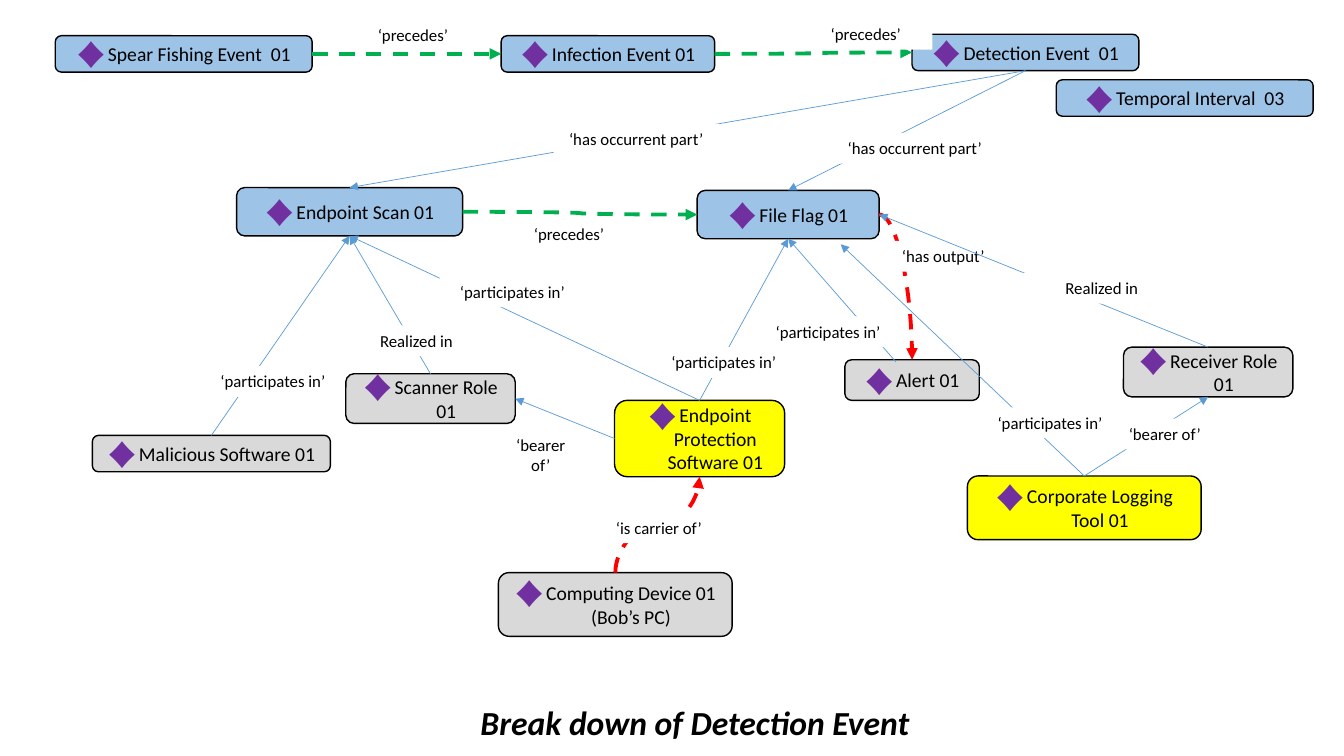
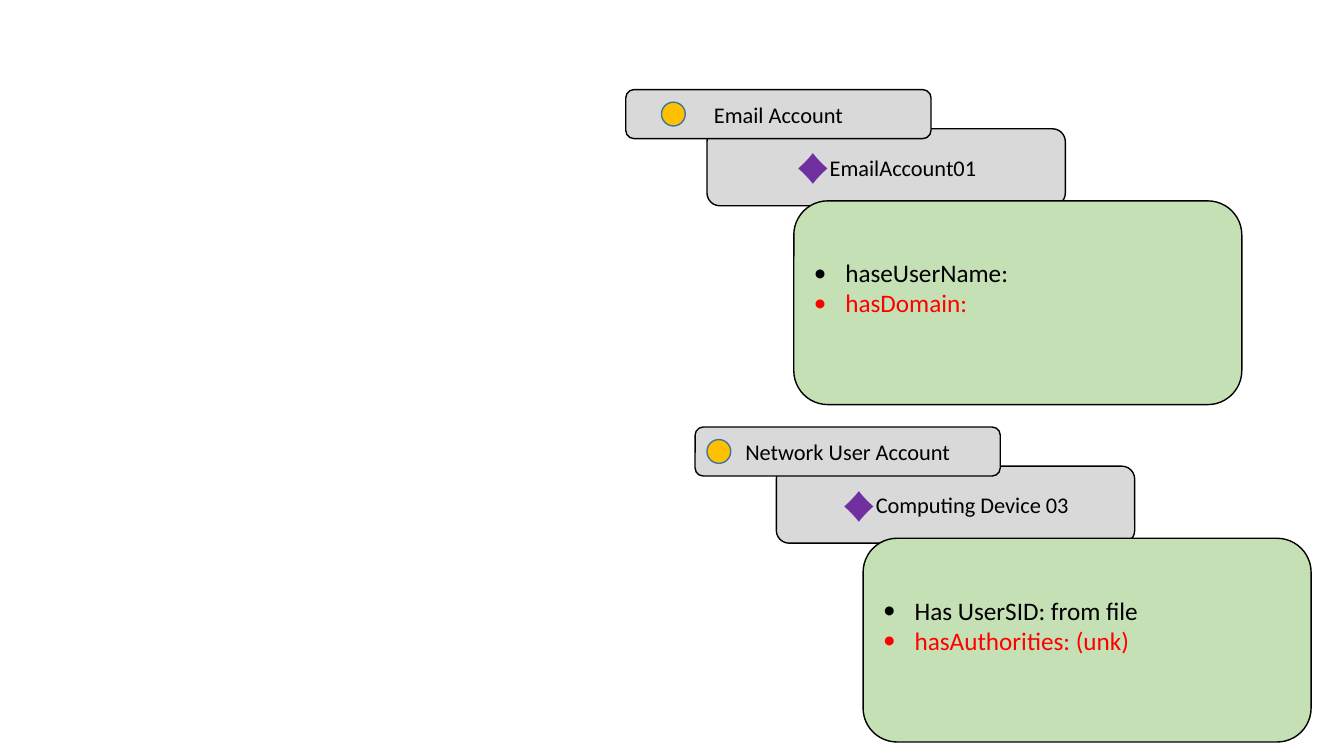
from dataclasses import dataclass

from lxml.etree import SubElement
from pptx import Presentation
from pptx.dml.color import RGBColor
from pptx.enum.dml import MSO_LINE as Dash
from pptx.enum.shapes import MSO_CONNECTOR as Connector, MSO_SHAPE as Preset
from pptx.enum.text import MSO_ANCHOR as Anchor, MSO_AUTO_SIZE as AutoSize, PP_ALIGN as Align
from pptx.oxml.ns import qn
from pptx.util import Pt


@dataclass(frozen=True)
class Theme:
    font: str = "Calibri"
    text: str = "000000"
    outline: str = "000000"
    background: str = "FFFFFF"
    event: str = "9DC3E6"
    thing: str = "D9D9D9"
    software: str = "FFFF00"
    card: str = "C5E0B4"
    diamond: str = "7030A0"
    circle: str = "FFC000"
    circle_line: str = "43739E"
    link: str = "5B9BD5"
    sequence: str = "00B050"
    alert: str = "FF0000"
    title_size: float = 24
    list_size: float = 18
    account_size: float = 16
    node_size: float = 14
    label_size: float = 12
    hanging: float = 22.5


THEME = Theme()
TOP, LEFT, BOTTOM, RIGHT = range(4)  # connection sites of a box
STRAIGHT, ACROSS, BEND, UPWARD = "straight", "across", "bend", "upward"

# name: text, fill, (left, top, width, height)
NODES = {
    "phishing": ("Spear Fishing Event  01", THEME.event, (39.5, 25.5, 183.5, 26)),
    "infection": ("Infection Event 01", THEME.event, (358, 25.5, 152.5, 26)),
    "detection": ("Detection Event  01", THEME.event, (651.5, 24.5, 162, 26)),
    "interval": ("Temporal Interval  03", THEME.event, (754.5, 57, 183.5, 26)),
    "scan": ("Endpoint Scan 01", THEME.event, (169, 134, 161.5, 34.5)),
    "flag": ("File Flag 01", THEME.event, (498, 136, 130, 34.5)),
    "protection": ("Endpoint Protection Software 01", THEME.software, (439, 286, 121.5, 54.5)),
    "malware": ("Malicious Software 01", THEME.thing, (66, 311, 170, 26)),
    "device": ("Computing Device 01 (Bob’s PC)", THEME.thing, (356, 409, 167, 45.5)),
    "alert": ("Alert 01", THEME.thing, (603.5, 257, 96, 29)),
    "logging": ("Corporate Logging Tool 01", THEME.software, (691, 340, 167, 45.5)),
    "scanner": ("Scanner Role 01", THEME.thing, (247, 267, 121, 35.5)),
    "receiver": ("Receiver Role 01", THEME.thing, (802.5, 248, 121, 35.5)),
}

# start, end, route, colour, label, label box; an end is (node, site) or a point
RELATIONS = [
    (("phishing", RIGHT), ("infection", LEFT), ACROSS, THEME.sequence,
     "‘precedes’", (250, 14, 90, 22)),
    (("infection", RIGHT), ("detection", LEFT), ACROSS, THEME.sequence,
     "‘precedes’", (571, 13.5, 95, 22)),
    (("scan", RIGHT), ("flag", LEFT), ACROSS, THEME.sequence,
     "‘precedes’", (361.5, 156, 90, 20)),
    (("detection", BOTTOM), ("scan", TOP), STRAIGHT, THEME.link,
     "‘has occurrent part’", (395.5, 88.5, 118, 22)),
    (("detection", BOTTOM), ("flag", TOP), STRAIGHT, THEME.link,
     "‘has occurrent part’", (594.5, 95, 118, 22)),
    (("flag", RIGHT), ("alert", TOP), BEND, THEME.alert,
     "‘has output’", (629, 172, 89.5, 22)),
    (("protection", TOP), ("flag", BOTTOM), STRAIGHT, THEME.link,
     "‘participates in’", (465, 248, 104, 22)),
    (("malware", TOP), ("scan", BOTTOM), STRAIGHT, THEME.link,
     "‘participates in’", (144, 261.5, 102, 22)),
    (("protection", TOP), ("scan", BOTTOM), STRAIGHT, THEME.link,
     "‘participates in’", (314, 197.5, 104, 22)),
    (("device", TOP), ("protection", BOTTOM), UPWARD, THEME.alert,
     "‘is carrier of’", (426, 366, 89.5, 22)),
    ((640, 258.5), ("flag", BOTTOM), STRAIGHT, THEME.link,
     "‘participates in’", (539.5, 226, 104, 22)),
    (("logging", TOP), (600.5, 174.5), STRAIGHT, THEME.link,
     "‘participates in’", (698, 291, 104, 22)),
    (("receiver", TOP), ("flag", RIGHT), STRAIGHT, THEME.link,
     "Realized in", (728, 195, 118, 22)),
    (("logging", TOP), ("receiver", BOTTOM), STRAIGHT, THEME.link,
     "‘bearer of’", (787, 299, 90, 22)),
    (("protection", LEFT), ("scanner", RIGHT), STRAIGHT, THEME.link,
     "‘bearer of’", (357, 307, 58.5, 36)),
    (("scanner", TOP), ("scan", BOTTOM), STRAIGHT, THEME.link,
     "Realized in", (238.5, 232.5, 118, 22)),
]


def color(code):
    return RGBColor.from_string(code)


def place(shape, box):
    shape.left, shape.top, shape.width, shape.height = map(Pt, box)


def style(paragraph, size, code=THEME.text, align=Align.CENTER):
    paragraph.alignment = align
    paragraph.font.name = THEME.font
    paragraph.font.size = Pt(size)
    paragraph.font.color.rgb = color(code)


def add_bullet(paragraph, character, code, percent=100):
    properties = paragraph._p.get_or_add_pPr()
    properties.set("marL", str(Pt(THEME.hanging)))
    properties.set("indent", str(-Pt(THEME.hanging)))
    bullet_color = SubElement(properties, qn("a:buClr"))
    SubElement(bullet_color, qn("a:srgbClr")).set("val", code)
    SubElement(properties, qn("a:buSzPct")).set("val", str(percent * 1000))
    SubElement(properties, qn("a:buFont")).set("typeface", THEME.font)
    SubElement(properties, qn("a:buChar")).set("char", character)


def paint(shape, fill, line=None):
    shape.fill.solid()
    shape.fill.fore_color.rgb = color(fill)
    if line:
        shape.line.color.rgb = color(line)
        shape.line.width = Pt(1)
    else:
        shape.line.fill.background()


def add_box(slide, preset, box, fill, line=None, text="", size=THEME.node_size, diamond=False):
    shape = slide.shapes.add_shape(preset, *map(Pt, box))
    shape.shadow.inherit = False
    paint(shape, fill, line)
    if text:
        frame = shape.text_frame
        frame.word_wrap = True
        frame.vertical_anchor = Anchor.MIDDLE
        paragraph = frame.paragraphs[0]
        paragraph.text = text
        style(paragraph, size)
        if diamond:
            add_bullet(paragraph, "♦", THEME.diamond, 150)
    return shape


def add_label(slide, text, box):
    label = add_box(slide, Preset.RECTANGLE, box, THEME.background, text=text, size=THEME.label_size)
    label.text_frame.vertical_anchor = Anchor.TOP


def site_point(shape, site):
    across, down = {TOP: (0.5, 0), LEFT: (0, 0.5), BOTTOM: (0.5, 1), RIGHT: (1, 0.5)}[site]
    return int(shape.left + across * shape.width), int(shape.top + down * shape.height)


def add_arrow(slide, start, end, route, code):
    """Draw an arrow between two points in EMU."""
    if route == UPWARD:  # laid out sideways, then turned by 90 degrees
        middle_x, middle_y = ((a + b) // 2 for a, b in zip(start, end))
        half_x, half_y = start[0] - middle_x, start[1] - middle_y
        start = middle_x + half_y, middle_y - half_x
        end = middle_x - half_y, middle_y + half_x
    kind = Connector.STRAIGHT if route == STRAIGHT else Connector.CURVE
    arrow = slide.shapes.add_connector(kind, *start, *end)
    properties = arrow._element.spPr
    if route == UPWARD:
        properties.find(qn("a:xfrm")).set("rot", "5400000")
    elif route == BEND:
        properties.find(qn("a:prstGeom")).set("prst", "curvedConnector2")
    arrow.line.color.rgb = color(code)
    arrow.line.width = Pt(0.5 if route == STRAIGHT else 2.75)
    if route != STRAIGHT:
        arrow.line.dash_style = Dash.DASH
    SubElement(arrow.line._get_or_add_ln(), qn("a:tailEnd")).set("type", "triangle")
    SubElement(properties, qn("a:effectLst"))
    return arrow


def add_title(slide, text, box):
    title = slide.shapes.title
    place(title, box)
    frame = title.text_frame
    frame.text = text
    frame.word_wrap = False
    frame.auto_size = AutoSize.NONE
    frame.vertical_anchor = Anchor.TOP
    paragraph = frame.paragraphs[0]
    style(paragraph, THEME.title_size, align=Align.LEFT)
    paragraph.font.bold = paragraph.font.italic = True


def add_diagram(slide, left, top):
    def shift(box):
        return (left + box[0], top + box[1], *box[2:])

    # Nodes
    nodes = {
        name: add_box(slide, Preset.ROUNDED_RECTANGLE, shift(box), fill, THEME.outline, text, diamond=True)
        for name, (text, fill, box) in NODES.items()
    }

    def locate(end):
        if end[0] in nodes:
            return site_point(nodes[end[0]], end[1])
        return tuple(map(Pt, shift(end)))

    # Arrows, each under its label
    for start, end, route, code, text, box in RELATIONS:
        arrow = add_arrow(slide, locate(start), locate(end), route, code)
        if route == STRAIGHT:
            if start[0] in nodes:
                arrow.begin_connect(nodes[start[0]], start[1])
            if end[0] in nodes:
                arrow.end_connect(nodes[end[0]], end[1])
        add_label(slide, text, shift(box))


def add_property_card(placeholder, box, items):
    """Turn a body placeholder into a rounded card, in front of the other parts."""
    place(placeholder, box)
    placeholder.element.getparent().append(placeholder.element)
    geometry = SubElement(placeholder.element.spPr, qn("a:prstGeom"))
    geometry.set("prst", "roundRect")
    SubElement(geometry, qn("a:avLst"))
    paint(placeholder, THEME.card, THEME.outline)
    frame = placeholder.text_frame
    frame.text = "\n".join(items)
    frame.auto_size = AutoSize.NONE
    frame.vertical_anchor = Anchor.MIDDLE
    frame.margin_bottom = Pt(25)
    for paragraph, code in zip(frame.paragraphs, (THEME.text, THEME.alert)):
        style(paragraph, THEME.list_size, code, Align.LEFT)
        paragraph.space_before = Pt(0)
        add_bullet(paragraph, "•", code)


def add_account(slide, placeholder, left, top, name, instance, items, circle_offset):
    # Instance bar, then the class bar over its corner
    rounded = Preset.ROUNDED_RECTANGLE
    add_box(slide, rounded, (left + 58, top + 28, 256, 55), THEME.thing, THEME.outline,
            instance, THEME.account_size, diamond=True)
    add_box(slide, rounded, (left, top, 218, 35), THEME.thing, THEME.outline, name, THEME.account_size)
    add_box(slide, Preset.OVAL, (left + circle_offset, top + 9, 17, 17), THEME.circle, THEME.circle_line)
    # Property list
    add_property_card(placeholder, (left + 120, top + 79.5, 320, 145.5), items)


def build_breakdown(presentation):
    slide = presentation.slides.add_slide(presentation.slide_layouts.get_by_name("Title Only"))
    add_title(slide, "Break down of Detection Event", (336, 497.5, 324, 36))
    add_diagram(slide, 0, 0)


def build_accounts(presentation):
    slide = presentation.slides.add_slide(presentation.slide_layouts.get_by_name("Two Content"))
    title, first, second = slide.placeholders
    title.element.getparent().remove(title.element)
    add_account(slide, first, 447, 64, "Email Account", "EmailAccount01",
                ("haseUserName:", "hasDomain:"), 25.5)
    add_account(slide, second, 496.5, 305, "Network User Account", "Computing Device 03",
                ("Has UserSID: from file", "hasAuthorities: (unk)"), 8.5)


def main():
    presentation = Presentation()
    presentation.slide_width, presentation.slide_height = Pt(960), Pt(540)
    build_breakdown(presentation)
    build_accounts(presentation)
    presentation.save("out.pptx")


if __name__ == "__main__":
    main()
